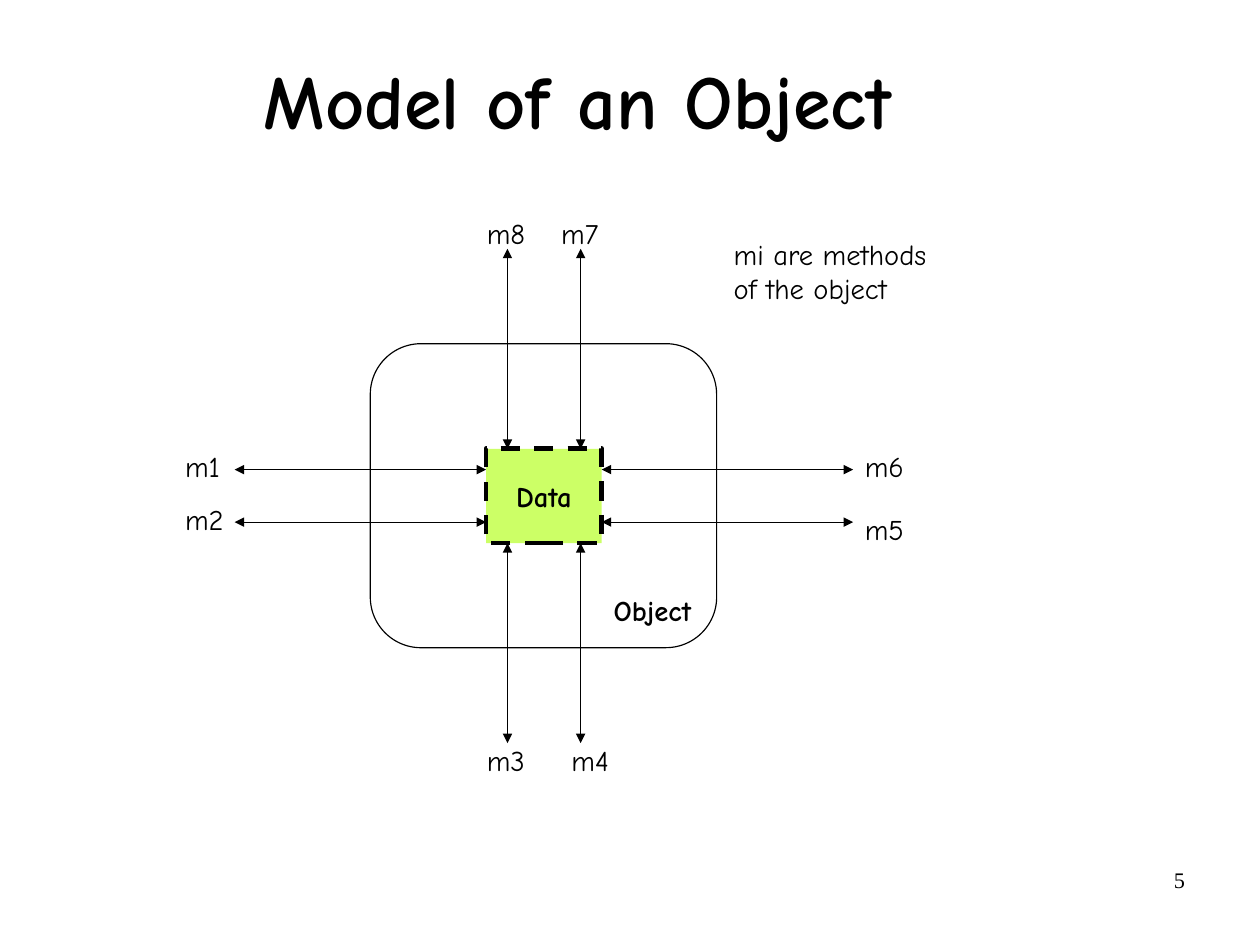
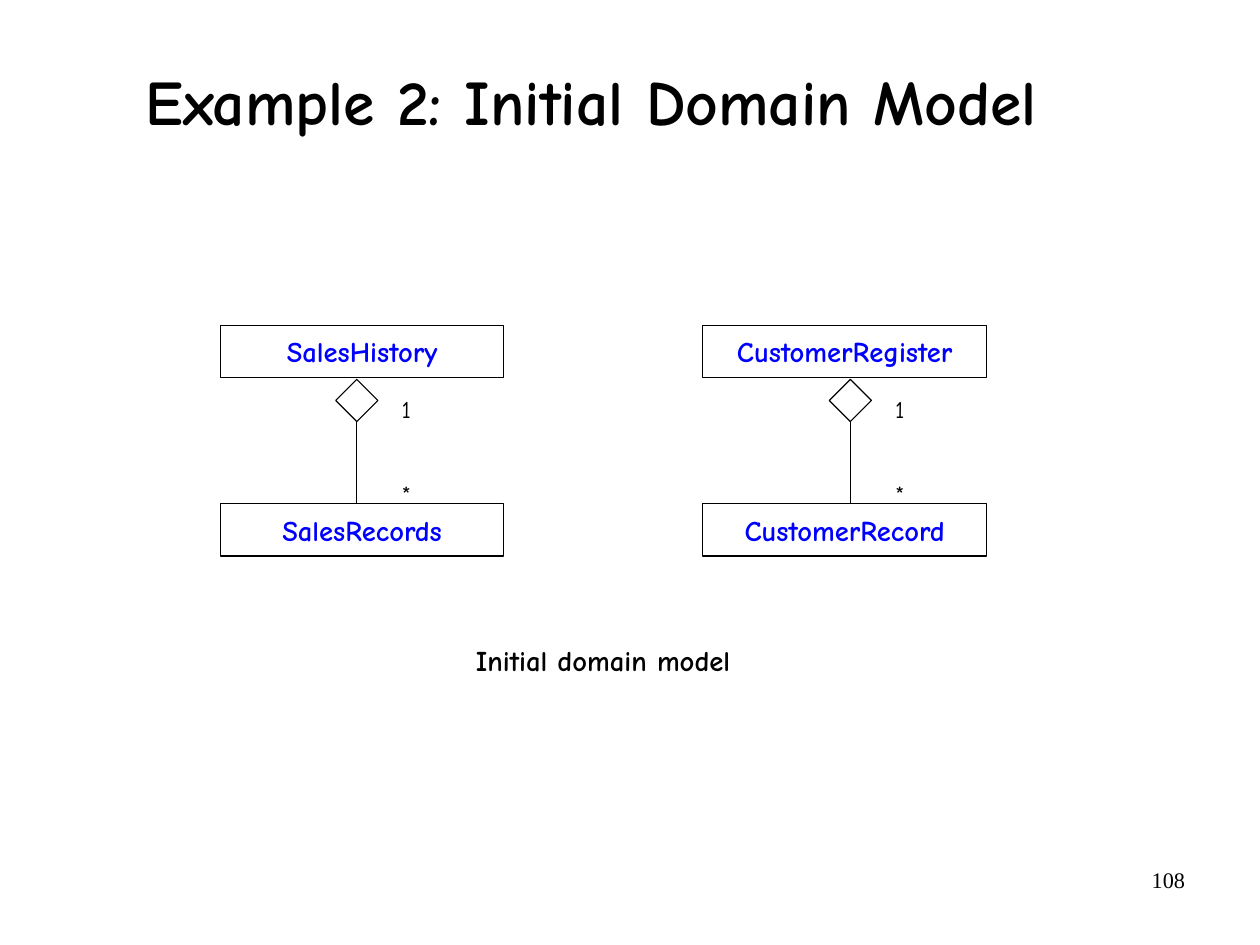
from lxml import etree
from pptx import Presentation
from pptx.dml.color import RGBColor
from pptx.enum import dml, shapes, text
from pptx.oxml import ns
from pptx.util import Pt

PAGE_WIDTH, PAGE_HEIGHT = 793.75, 595.25
BLACK = RGBColor(0x00, 0x00, 0x00)
BLUE = RGBColor(0x00, 0x00, 0xFF)
LIME = RGBColor(0xCC, 0xFF, 0x66)
COMIC = "Comic Neue"
TIMES = "Times New Roman"
LEFT, CENTER, RIGHT = text.PP_ALIGN.LEFT, text.PP_ALIGN.CENTER, text.PP_ALIGN.RIGHT

# Slide 1: the data block sits inside the object; arrows leave it on all sides
OBJECT = (233.3, 216.5, 218.2, 191.5)
DATA = (306.2, 282.7, 72.9, 59.4)
TRACKS = {"row": (295.8, 328.9), "column": (319.7, 365.8)}
ARROW_ACROSS, ARROW_DOWN = 158.4, 126
METHOD_LABELS = [
    ("m1", 116.6, 282.7), ("m2", 116.6, 316),
    ("m3", 306.7, 467.8), ("m4", 360, 467.8),
    ("m5", 544.8, 322.4), ("m6", 544.8, 282.7),
    ("m7", 353.5, 136), ("m8", 306.7, 136),
]
METHODS_NOTE = ["mi are methods", "of the object"]

# Slide 2: whole class, part class, left of the boxes, axis of the aggregation
AGGREGATIONS = [
    ("SalesHistory", "SalesRecords", 138.8, 224.8),
    ("CustomerRegister", "CustomerRecord", 442.8, 535.7),
]
CLASS_WIDTH, CLASS_HEIGHT = 178.6, 33.1
WHOLE_TOP, PART_TOP = 204.9, 317.2
DIAMOND_TOP, DIAMOND_SIZE = 239, 26.6


def write(shape, lines, size, bold=False, color=BLACK, font=COMIC, align=LEFT,
          anchor=text.MSO_ANCHOR.TOP, spacing=None):
    frame = shape.text_frame
    frame.word_wrap = True
    frame.vertical_anchor = anchor
    frame.margin_left = frame.margin_right = frame.margin_top = frame.margin_bottom = 0
    for index, line in enumerate(lines):
        para = frame.add_paragraph() if index else frame.paragraphs[0]
        para.alignment = align
        if spacing:
            para.line_spacing = spacing
        span = para.add_run()
        span.text = line
        span.font.name, span.font.size, span.font.bold = font, Pt(size), bold
        span.font.color.rgb = color


def add_label(page, lines, left, top, width=40, height=22, size=18, **style):
    box = page.shapes.add_textbox(Pt(left), Pt(top), Pt(width), Pt(height))
    write(box, lines, size, **style)


def add_outline(page, kind, left, top, width, height, weight=0.75):
    shape = page.shapes.add_shape(kind, Pt(left), Pt(top), Pt(width), Pt(height))
    shape.shadow.inherit = False
    shape.fill.background()
    shape.line.color.rgb = BLACK
    shape.line.width = Pt(weight)
    return shape


def add_line(page, x1, y1, x2, y2, arrows=False):
    line = page.shapes.add_connector(
        shapes.MSO_CONNECTOR.STRAIGHT, Pt(x1), Pt(y1), Pt(x2), Pt(y2))
    line.line.color.rgb = BLACK
    line.line.width = Pt(0.75)
    properties = line._element.spPr
    if arrows:
        stroke = properties.find(ns.qn("a:ln"))
        for end in ("a:headEnd", "a:tailEnd"):
            etree.SubElement(stroke, ns.qn(end), type="triangle")
    etree.SubElement(properties, ns.qn("a:effectLst"))


def add_page(deck, title, size, number):
    page = deck.slides.add_slide(deck.slide_layouts[6])
    add_label(page, [title], 35.1, 15.3, 674.6, 100, size, bold=True, align=CENTER,
              anchor=text.MSO_ANCHOR.MIDDLE, spacing=0.94)
    add_label(page, [number], 576, 545.5, 170.6, 34, 14, font=TIMES, align=RIGHT)
    return page


def build_object_model(deck):
    page = add_page(deck, "Model of an Object ", 48, "5")
    add_outline(page, shapes.MSO_SHAPE.ROUNDED_RECTANGLE, *OBJECT)
    data = add_outline(page, shapes.MSO_SHAPE.RECTANGLE, *DATA, weight=3)
    data.fill.solid()
    data.fill.fore_color.rgb = LIME
    data.line.dash_style = dml.MSO_LINE.DASH
    write(data, ["Data"], 18, bold=True, align=CENTER, anchor=text.MSO_ANCHOR.MIDDLE)

    left, top, width, height = DATA
    right, bottom = left + width, top + height
    for y in TRACKS["row"]:
        add_line(page, left - ARROW_ACROSS, y, left, y, arrows=True)
        add_line(page, right, y, right + ARROW_ACROSS, y, arrows=True)
    for x in TRACKS["column"]:
        add_line(page, x, top - ARROW_DOWN, x, top, arrows=True)
        add_line(page, x, bottom, x, bottom + ARROW_DOWN, arrows=True)

    for name, x, y in METHOD_LABELS:
        add_label(page, [name], x, y)
    add_label(page, ["Object"], 386.6, 373.4, width=60, bold=True)
    add_label(page, METHODS_NOTE, 462.2, 149.2, width=140, height=44)


def build_domain_model(deck):
    page = add_page(deck, "Example 2: Initial Domain Model", 40, "108")
    for whole, part, left, axis in AGGREGATIONS:
        for name, top in ((whole, WHOLE_TOP), (part, PART_TOP)):
            box = add_outline(page, shapes.MSO_SHAPE.RECTANGLE,
                              left, top, CLASS_WIDTH, CLASS_HEIGHT)
            write(box, [name], 18, bold=True, color=BLUE, align=CENTER,
                  anchor=text.MSO_ANCHOR.MIDDLE)
        add_outline(page, shapes.MSO_SHAPE.DIAMOND, axis - DIAMOND_SIZE / 2,
                    DIAMOND_TOP, DIAMOND_SIZE, DIAMOND_SIZE)
        add_line(page, axis, DIAMOND_TOP + DIAMOND_SIZE, axis, PART_TOP)
        for count, top in (("1", 248.6), ("*", 302)):
            add_label(page, [count], axis + 28.2, top, width=20, size=15)
    add_label(page, ["Initial domain model"], 299.7, 405, width=190, bold=True)


def main():
    deck = Presentation()
    deck.slide_width, deck.slide_height = Pt(PAGE_WIDTH), Pt(PAGE_HEIGHT)
    build_object_model(deck)
    build_domain_model(deck)
    deck.save("out.pptx")


if __name__ == "__main__":
    main()
